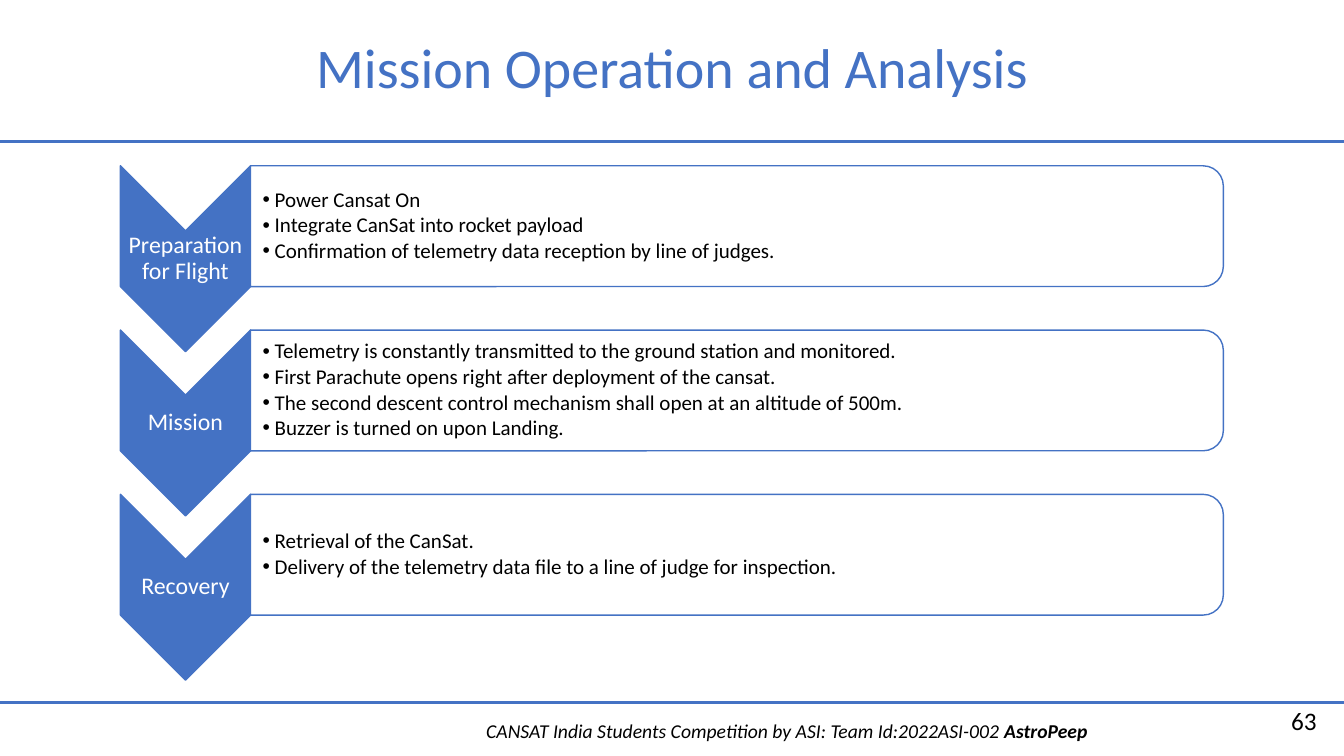
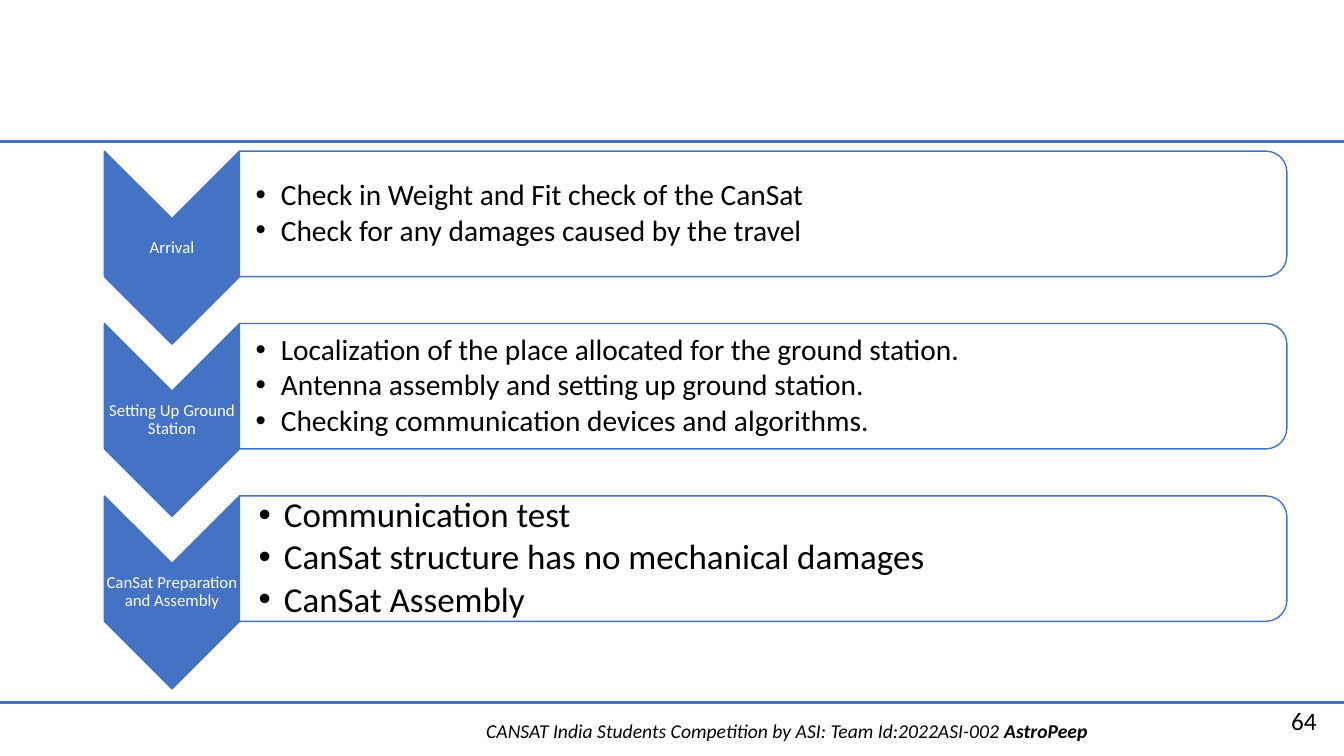
from dataclasses import dataclass

from lxml import etree
from pptx import Presentation
from pptx import util as u
from pptx.dml.color import RGBColor
from pptx.enum import shapes, text
from pptx.oxml.ns import qn


@dataclass(frozen=True)
class Theme:
    blue: RGBColor = RGBColor(0x44, 0x72, 0xC4)
    black: RGBColor = RGBColor(0, 0, 0)
    white: RGBColor = RGBColor(255, 255, 255)
    face: str = "Calibri"
    title: int = 40
    page: int = 18
    foot: int = 14
    rule: int = 2
    edge: int = 1
    pad: float = 0.01
    lead: float = 0.9
    gap: float = 0.13


@dataclass(frozen=True)
class Step:
    label: str
    points: tuple[str, ...]
    size: int
    inset: float
    hang: float
    pad: float = 0.01
    align: text.PP_ALIGN = text.PP_ALIGN.LEFT


@dataclass(frozen=True)
class Flow:
    left: float
    top: float
    arrow: float
    panel: float
    pitch: float
    label: int
    steps: tuple[Step, ...]


@dataclass(frozen=True)
class Page:
    number: int
    title: str
    flow: Flow


THEME = Theme()
WIDE = u.Inches(13.33)
HIGH = u.Inches(7.5)
MID = text.MSO_ANCHOR.MIDDLE
CENTER = text.PP_ALIGN.CENTER
RIGHT = text.PP_ALIGN.RIGHT

PAGES = (
    Page(63, "Mission Operation and Analysis", Flow(
        8.96, 21.93, 9.68, 72.38, 21.73, 17, (
            Step("Preparation for Flight", (
                "Power Cansat On",
                "Integrate CanSat into rocket payload",
                "Confirmation of telemetry data reception by line of judges.",
            ), 15, 0.12, 0.12),
            Step("Mission", (
                "Telemetry is constantly transmitted to the ground station and monitored.",
                "First Parachute opens right after deployment of the cansat.",
                "The second descent control mechanism shall open at an altitude of 500m.",
                "Buzzer is turned on upon Landing.",
            ), 15, 0.12, 0.12),
            Step("Recovery", (
                "Retrieval of the CanSat.",
                "Delivery of the telemetry data file to a line of judge for inspection.",
            ), 15, 0.12, 0.12),
        ))),
    Page(64, "", Flow(
        7.77, 20, 10.05, 77.93, 22.8, 12, (
            Step("Arrival", (
                "Check in Weight and Fit check of the CanSat",
                "Check for any damages caused by the travel",
            ), 21, 0.16, 0.25),
            Step("Setting Up Ground Station", (
                "Localization of the place allocated for the ground station.",
                "Antenna assembly and setting up ground station.",
                "Checking communication devices and algorithms.",
            ), 21, 0.16, 0.25),
            Step("CanSat Preparation and Assembly", (
                "Communication test",
                "CanSat structure has no mechanical damages",
                "CanSat Assembly",
            ), 25, 0.19, 0.25, 0.02, text.PP_ALIGN.JUSTIFY),
        ))),
)


def col(share: float) -> int:
    return round(WIDE * share / 100)


def row(share: float) -> int:
    return round(HIGH * share / 100)


def style(para, size: int, color: RGBColor, align=None) -> None:
    para.alignment = align
    para.font.name = THEME.face
    para.font.size = u.Pt(size)
    para.font.color.rgb = color


def frame(slide, left: int, top: int, wide: int, high: int, wrap: bool = True):
    body = slide.shapes.add_textbox(left, top, wide, high).text_frame
    body.word_wrap = wrap
    return body


def inset(body, left: float, rest: float) -> None:
    body.vertical_anchor = MID
    body.margin_left = u.Inches(left)
    body.margin_top = body.margin_right = body.margin_bottom = u.Inches(rest)


def rule(slide, top: float) -> None:
    line = slide.shapes.add_connector(
        shapes.MSO_CONNECTOR.STRAIGHT, 0, row(top), WIDE, row(top))
    line.line.color.rgb = THEME.blue
    line.line.width = u.Pt(THEME.rule)
    etree.SubElement(line._element.spPr, qn("a:effectLst"))


def turned(slide, kind, left: int, top: int, wide: int, high: int, fill: RGBColor):
    shift = (wide - high) // 2
    shape = slide.shapes.add_shape(kind, left + shift, top - shift, high, wide)
    shape.rotation = 90
    shape.shadow.inherit = False
    shape.fill.solid()
    shape.fill.fore_color.rgb = fill
    shape.line.color.rgb = THEME.blue
    shape.line.width = u.Pt(THEME.edge)
    return shape


def bullet(para, hang: float) -> None:
    props = para._p.get_or_add_pPr()
    props.set("marL", str(u.Inches(hang)))
    props.set("indent", str(-u.Inches(hang)))
    etree.SubElement(props, qn("a:buFont"), typeface="Arial")
    etree.SubElement(props, qn("a:buChar"), char="•")


def draw_step(slide, flow: Flow, step: Step, top: int) -> None:
    left, wide = col(flow.left), col(flow.arrow)
    tall = round(wide / 0.7)
    high = round(tall * 0.65)
    side = left + wide
    turned(slide, shapes.MSO_SHAPE.CHEVRON, left, top, wide, tall, THEME.blue)
    body = frame(slide, left, top + round(tall * 0.35), wide, round(tall * 0.3))
    inset(body, THEME.pad, THEME.pad)
    para = body.paragraphs[0]
    para.text = step.label
    para.line_spacing = THEME.lead
    style(para, flow.label, THEME.white, CENTER)

    turned(slide, shapes.MSO_SHAPE.ROUND_2_SAME_RECTANGLE,
           side, top, col(flow.panel), high, THEME.white)
    trim = u.Inches(0.06)
    body = frame(slide, side, top + trim, col(flow.panel) - trim, high - 2 * trim)
    inset(body, step.inset, step.pad)
    for i, point in enumerate(step.points):
        para = body.add_paragraph() if i else body.paragraphs[0]
        para.text = point
        bullet(para, step.hang)
        para.line_spacing = THEME.lead
        para.space_after = u.Pt(round(step.size * THEME.gap, 1))
        style(para, step.size, THEME.black, step.align)


def draw_base(slide, number: int) -> None:
    para = frame(slide, col(35.1), row(94.4), col(46.9), row(4.5)).paragraphs[0]
    para.add_run().text = "CANSAT India Students Competition by ASI: Team Id:2022ASI-002 "
    team = para.add_run()
    team.text = "AstroPeep"
    team.font.bold = True
    style(para, THEME.foot, THEME.black, CENTER)
    para.font.italic = True
    for top in (92.93, 18.67):
        rule(slide, top)
    para = frame(slide, col(76.2), row(92.67), col(22.5), row(5.33)).paragraphs[0]
    para.text = str(number)
    style(para, THEME.page, THEME.black, RIGHT)


def draw_page(slide, page: Page) -> None:
    draw_base(slide, page.number)
    for i, step in enumerate(page.flow.steps):
        draw_step(slide, page.flow, step, row(page.flow.top + i * page.flow.pitch))
    if page.title:
        body = frame(slide, col(22.5), row(3.6), col(55), row(10.27), False)
        para = body.paragraphs[0]
        para.text = page.title
        style(para, THEME.title, THEME.blue, CENTER)


def main() -> None:
    deck = Presentation()
    deck.slide_width, deck.slide_height = WIDE, HIGH
    for page in PAGES:
        draw_page(deck.slides.add_slide(deck.slide_layouts[6]), page)
    deck.save("out.pptx")


if __name__ == "__main__":
    main()
